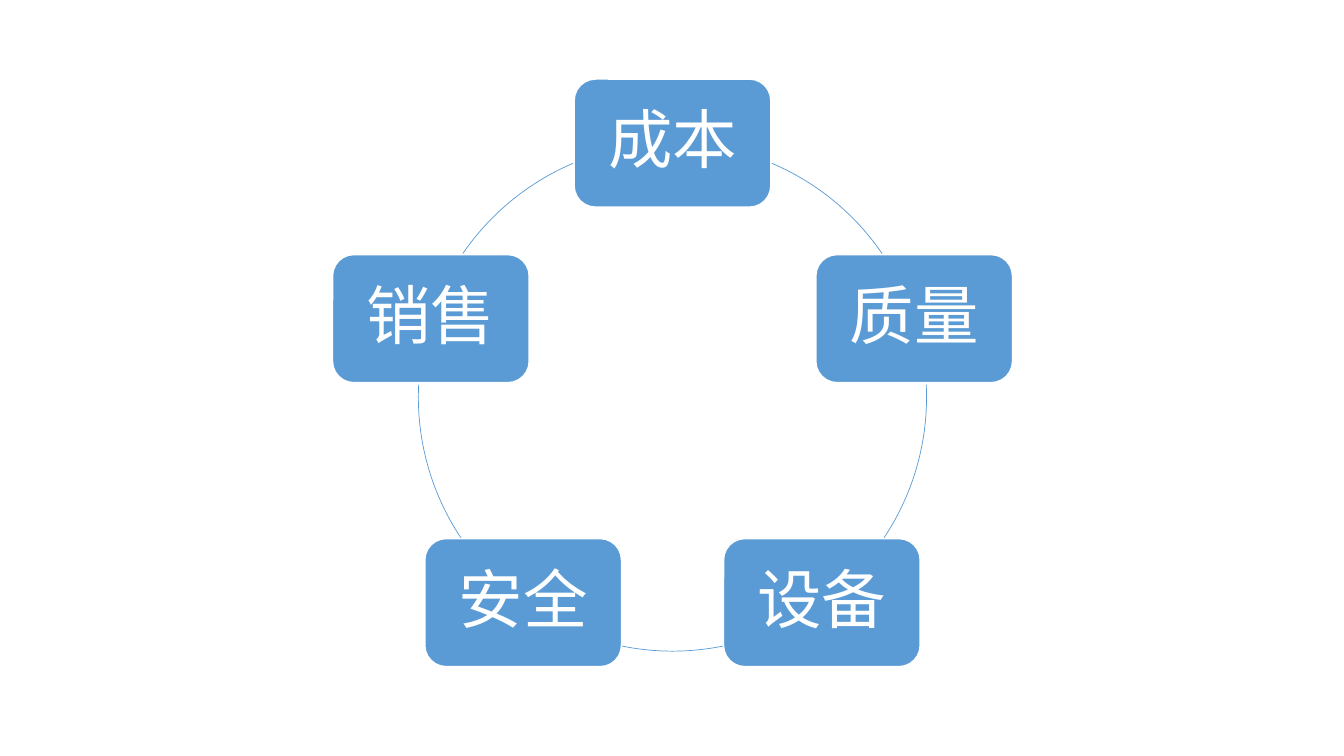
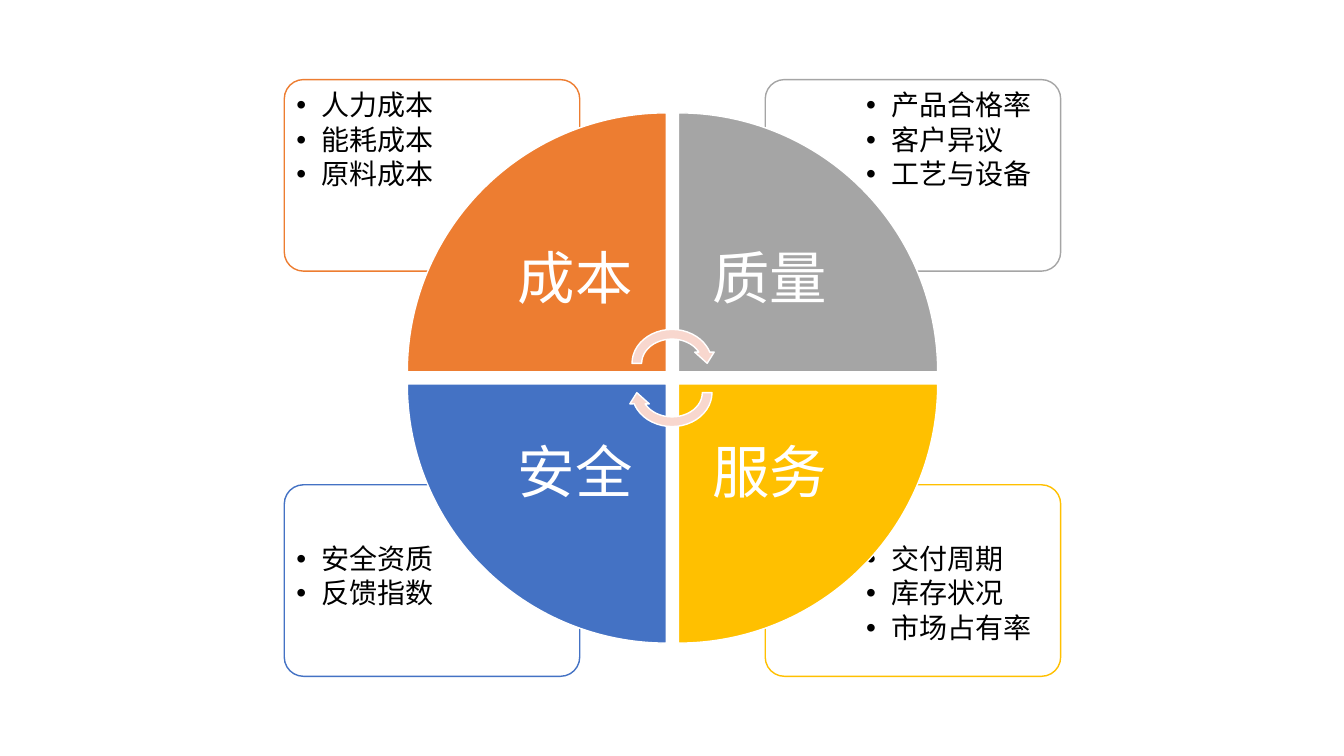
from dataclasses import dataclass
from math import cos, radians, sin

from lxml import etree
from pptx import Presentation
from pptx.dml.color import RGBColor
from pptx.enum import shapes, text
from pptx.oxml import ns
from pptx.util import Inches, Pt

# Shared style
FONT = "Calibri"
WHITE = RGBColor(0xFF, 0xFF, 0xFF)
BLACK = RGBColor(0x00, 0x00, 0x00)
SKY = RGBColor(0x5B, 0x9B, 0xD5)
ORANGE = RGBColor(0xED, 0x7D, 0x31)
GREY = RGBColor(0xA5, 0xA5, 0xA5)
GOLD = RGBColor(0xFF, 0xC0, 0x00)
BLUE = RGBColor(0x44, 0x72, 0xC4)
BLUSH = RGBColor(0xF8, 0xD7, 0xCE)
PRESET = shapes.MSO_SHAPE

# Ring of topics
RING_X, RING_Y, RING_RADIUS = 6.67, 3.94, 2.52
NODE_WIDTH, NODE_HEIGHT = 1.95, 1.27
TOPICS = ("成本", "质量", "设备", "安全", "销售")
RIGHT_ARCS = ((-67, -34.4), (-2.8, 33.7))
BOTTOM_ARC = (78.5, 101.5)

# Cycle matrix
CENTER_X, CENTER_Y = 6.67, 3.75


@dataclass(frozen=True)
class Box:
    left: float
    top: float
    width: float
    height: float

    def lengths(self) -> tuple:
        return tuple(map(Inches, (self.left, self.top, self.width, self.height)))


@dataclass(frozen=True)
class Quadrant:
    label: str
    points: tuple
    color: RGBColor
    right: bool
    bottom: bool
    rotation: int

    def box(self, gap_x: float, gap_y: float, width: float, height: float) -> Box:
        """Box of this quadrant, kept clear of both centre lines by the gaps."""
        left = CENTER_X + gap_x if self.right else CENTER_X - gap_x - width
        top = CENTER_Y + gap_y if self.bottom else CENTER_Y - gap_y - height
        return Box(left, top, width, height)


QUADRANTS = (
    Quadrant("成本", ("人力成本", "能耗成本", "原料成本"), ORANGE, False, False, 0),
    Quadrant("质量", ("产品合格率", "客户异议", "工艺与设备"), GREY, True, False, 90),
    Quadrant("服务", ("交付周期", "库存状况", "市场占有率"), GOLD, True, True, 180),
    Quadrant("安全", ("安全资质", "反馈指数"), BLUE, False, True, 270),
)


def add_preset(slide, preset, box: Box, *, fill=None, line=WHITE, width=1.0, rotation=0):
    shape = slide.shapes.add_shape(preset, *box.lengths())
    shape.shadow.inherit = False
    shape.rotation = rotation
    if fill is None:
        shape.fill.background()
    else:
        shape.fill.solid()
        shape.fill.fore_color.rgb = fill
    shape.line.color.rgb = line
    shape.line.width = Pt(width)
    return shape


def add_bullet(paragraph) -> None:
    properties = paragraph._p.get_or_add_pPr()
    properties.set("marL", str(Inches(0.25)))
    properties.set("indent", str(-Inches(0.25)))
    etree.SubElement(properties, ns.qn("a:buFont"), typeface="Arial")
    etree.SubElement(properties, ns.qn("a:buChar"), char="•")


def write_text(shape, *lines: str, size: float, color=WHITE, inset=0.0, after=0.0,
               align=text.PP_ALIGN.CENTER, anchor=text.MSO_ANCHOR.MIDDLE,
               bullets=False) -> None:
    frame = shape.text_frame
    frame.word_wrap = True
    frame.auto_size = text.MSO_AUTO_SIZE.NONE
    frame.vertical_anchor = anchor
    frame.margin_left = frame.margin_right = Inches(inset)
    frame.margin_top = frame.margin_bottom = Inches(inset)
    for number, line in enumerate(lines):
        paragraph = frame.add_paragraph() if number else frame.paragraphs[0]
        if bullets:
            add_bullet(paragraph)
        paragraph.alignment = align
        paragraph.line_spacing = 0.9
        paragraph.space_before = Pt(0)
        paragraph.space_after = Pt(after)
        run = paragraph.add_run()
        run.text = line
        run.font.name = FONT
        run.font.size = Pt(size)
        run.font.bold = False
        run.font.color.rgb = color


def add_arc(slide, start: float, end: float) -> None:
    ring = Box(RING_X - RING_RADIUS, RING_Y - RING_RADIUS, 2 * RING_RADIUS, 2 * RING_RADIUS)
    arc = add_preset(slide, PRESET.ARC, ring, line=SKY, width=0.5)
    # Angles are stored in 60000ths of a degree, adjustments in 100000ths
    for index, angle in enumerate((start, end)):
        arc.adjustments[index] = angle % 360 * 0.6


def add_topic_ring(deck) -> None:
    slide = deck.slides.add_slide(deck.slide_layouts[6])
    # Arcs on the left mirror those on the right
    left_arcs = tuple((180 - end, 180 - start) for start, end in RIGHT_ARCS)
    for start, end in (*RIGHT_ARCS, BOTTOM_ARC, *left_arcs):
        add_arc(slide, start, end)
    # Topics at equal angles, clockwise from the top
    for number, topic in enumerate(TOPICS):
        angle = radians(number * 360 / len(TOPICS) - 90)
        node = add_preset(slide, PRESET.ROUNDED_RECTANGLE, Box(
            RING_X + RING_RADIUS * cos(angle) - NODE_WIDTH / 2,
            RING_Y + RING_RADIUS * sin(angle) - NODE_HEIGHT / 2,
            NODE_WIDTH, NODE_HEIGHT), fill=SKY)
        write_text(node, topic, size=46, inset=0.19)


def add_panel(slide, quadrant: Quadrant, points) -> None:
    panel = add_preset(slide, PRESET.ROUNDED_RECTANGLE, quadrant.box(0.92, 1.06, 2.93, 1.9),
                       fill=WHITE, line=quadrant.color)
    panel.adjustments[0] = 0.1
    fill_color = panel._element.spPr.find(".//" + ns.qn("a:srgbClr"))
    etree.SubElement(fill_color, ns.qn("a:alpha"), val="90000")
    # The list lies above its panel
    panel._element.addnext(points._element)
    points.left, points.top, points.width, points.height = quadrant.box(
        1.84, 1.58, 1.97, 1.34).lengths()
    write_text(points, *quadrant.points, size=20, color=BLACK, inset=0.08, after=3,
               align=text.PP_ALIGN.LEFT, anchor=text.MSO_ANCHOR.TOP, bullets=True)


def add_cycle_matrix(deck) -> None:
    # The comparison layout has four body placeholders, one per list
    slide = deck.slides.add_slide(deck.slide_layouts[4])
    title, *bodies = slide.placeholders
    title._element.getparent().remove(title._element)
    for quadrant, points in zip(QUADRANTS, bodies):
        add_panel(slide, quadrant, points)
    # Wedges with upright labels
    for quadrant in QUADRANTS:
        add_preset(slide, PRESET.PIE_WEDGE, quadrant.box(0.06, 0.06, 2.57, 2.57),
                   fill=quadrant.color, rotation=quadrant.rotation)
        label = slide.shapes.add_textbox(*quadrant.box(0.06, 0.06, 1.81, 1.81).lengths())
        write_text(label, quadrant.label, size=41, inset=0.32)
    # Arrows turning around the centre
    for top, rotation in ((3.22, 0), (3.51, 180)):
        add_preset(slide, PRESET.CIRCULAR_ARROW, Box(6.22, top, 0.89, 0.77),
                   fill=BLUSH, rotation=rotation)


def main() -> None:
    deck = Presentation()
    deck.slide_width, deck.slide_height = Inches(13.33), Inches(7.5)
    add_topic_ring(deck)
    add_cycle_matrix(deck)
    deck.save("out.pptx")


if __name__ == "__main__":
    main()
